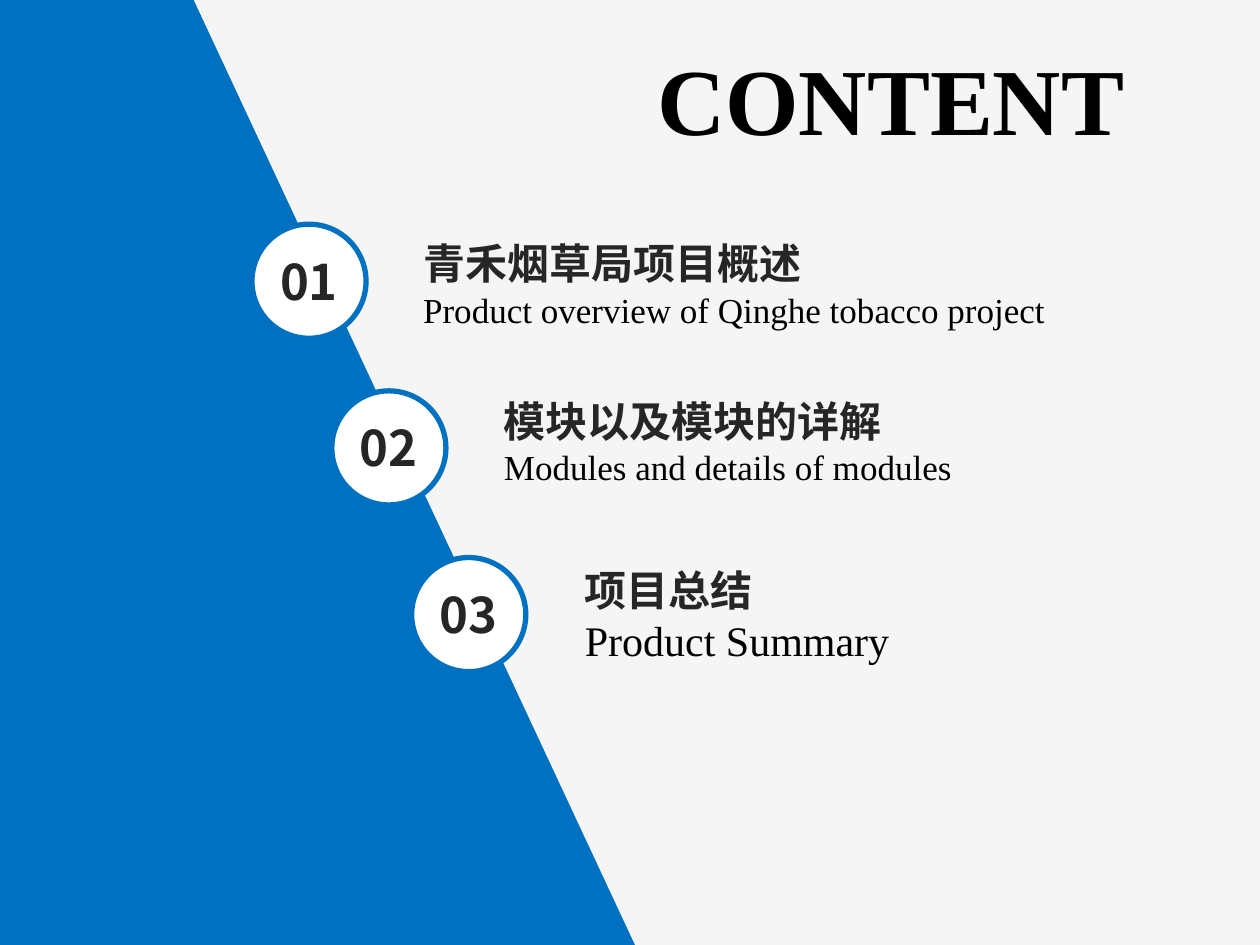
from lxml import etree
from pptx import Presentation
from pptx.dml.color import RGBColor
from pptx.enum.shapes import MSO_SHAPE
from pptx.enum.text import MSO_AUTO_SIZE, PP_ALIGN
from pptx.oxml.ns import qn
from pptx.util import Cm, Pt

OVAL = MSO_SHAPE.OVAL
GROW = MSO_AUTO_SIZE.SHAPE_TO_FIT_TEXT
LEFT, CENTER = PP_ALIGN.LEFT, PP_ALIGN.CENTER

BLUE, WHITE, PALE, DARK, BLACK = "0070C0", "FFFFFF", "F5F5F5", "262626", "000000"
HEADING = {"name": "Noto Sans CJK SC", "bold": True}
LATIN = {"name": "Times New Roman", "bold": False}


def color(value):
    return RGBColor.from_string(value)


def add_text(shapes, left, top, width, height, lines, alignment):
    """Add a text box; each line is (text, size, colour, font values)."""
    box = shapes.add_textbox(Cm(left), Cm(top), Cm(width), Cm(height))
    frame = box.text_frame
    frame.word_wrap = True
    frame.auto_size = GROW
    for index, (text, size, text_color, values) in enumerate(lines):
        paragraph = frame.add_paragraph() if index else frame.paragraphs[0]
        paragraph.alignment = alignment
        run = paragraph.add_run()
        run.text = text
        run.font.size = Pt(size)
        run.font.color.rgb = color(text_color)
        for name, value in values.items():
            setattr(run.font, name, value)
        # East Asian glyphs need their own typeface entry
        east_asian = etree.SubElement(run.font._element, qn("a:ea"))
        east_asian.set("typeface", values["name"])


presentation = Presentation()
presentation.slide_width, presentation.slide_height = Cm(25.4), Cm(19.05)
slide = presentation.slides.add_slide(presentation.slide_layouts[6])
slide.background.fill.solid()
slide.background.fill.fore_color.rgb = color(PALE)

# Slanted blue panel
builder = slide.shapes.build_freeform(Cm(12.8), Cm(19.05))
corners = [(3.89, -0.03), (-0.08, -0.03), (-0.03, 19.15)]
builder.add_line_segments([(Cm(x), Cm(y)) for x, y in corners], close=True)
panel = builder.convert_to_shape()
panel.shadow.inherit = False
panel.fill.solid()
panel.fill.fore_color.rgb = color(BLUE)
panel.line.fill.background()

# Numbered circles stepping down the slant, each with its entry
entries = [
    ("青禾烟草局项目概述", "Product overview of Qinghe tobacco project", 20, 4.67, 23.8),
    ("模块以及模块的详解", "Modules and details of modules", 20, 7.85, 23.8),
    ("项目总结", "Product Summary", 24, 11.25, 25.4),
]
for index, (title, subtitle, size, text_top, text_right) in enumerate(entries):
    left, top = 5.08 + 1.61 * index, 4.52 + 3.36 * index
    group = slide.shapes.add_group_shape()
    circle = group.shapes.add_shape(OVAL, Cm(left), Cm(top), Cm(2.3), Cm(2.3))
    circle.shadow.inherit = False
    circle.fill.solid()
    circle.fill.fore_color.rgb = color(WHITE)
    circle.line.color.rgb = color(BLUE)
    circle.line.width = Pt(3)
    add_text(group.shapes, left + 0.21, top + 0.42, 1.88, 1.45,
             [(f"{index + 1:02d}", 28, DARK, HEADING)], CENTER)

    text_left = 8.28 + 1.63 * index
    add_text(slide.shapes, text_left, text_top, text_right - text_left, 2.13,
             [(title, 24, DARK, HEADING), (subtitle, size, BLACK, LATIN)], LEFT)

# Slide title
add_text(slide.shapes, 12.12, 0.71, 11.68, 2.57,
         [("CONTENT", 54, BLACK, {**LATIN, "bold": True})], CENTER)

presentation.save("out.pptx")
